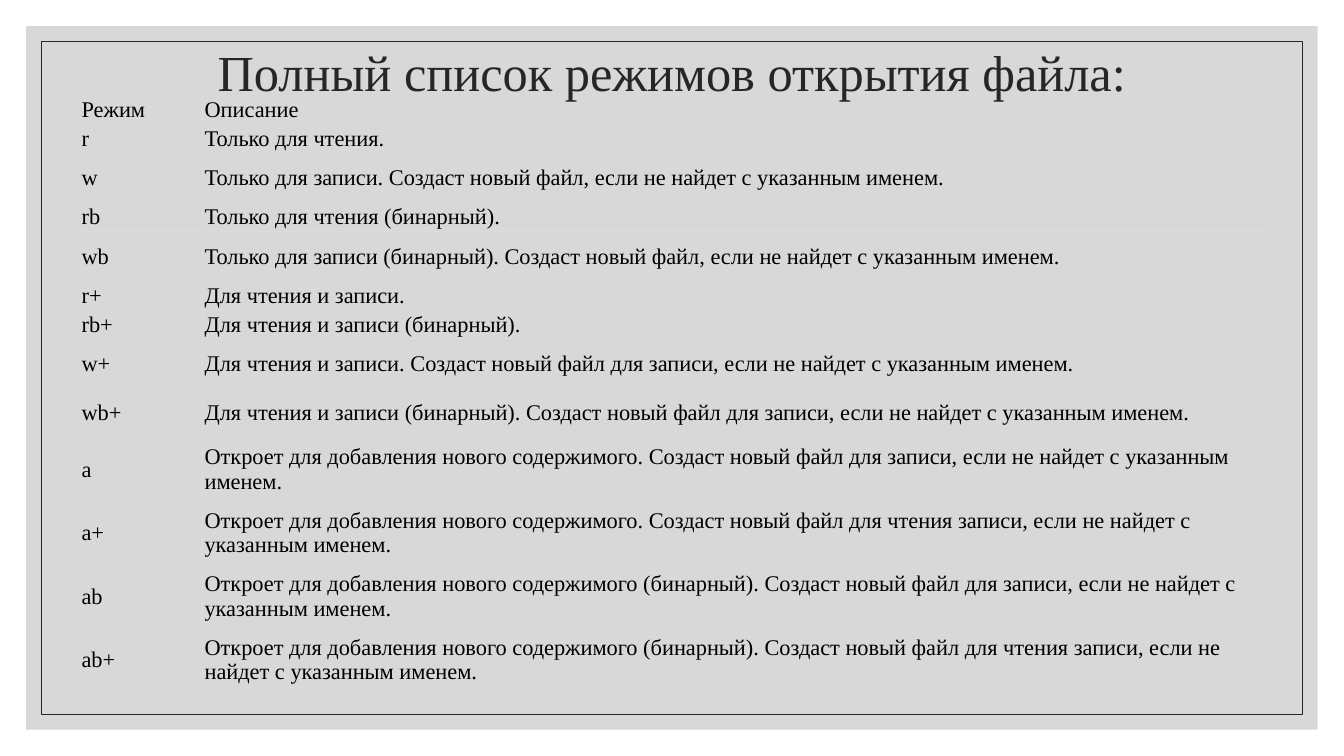
import lxml.etree
import pptx
import pptx.dml.color
import pptx.enum.shapes
import pptx.enum.text
import pptx.oxml
import pptx.oxml.ns
import pptx.util

INK = pptx.dml.color.RGBColor(0x26, 0x26, 0x26)
BLACK = pptx.dml.color.RGBColor(0x00, 0x00, 0x00)
PANEL = pptx.dml.color.RGBColor(0xBF, 0xBF, 0xBF)
RULE = pptx.dml.color.RGBColor(0xDC, 0xDC, 0xDC)

COLUMNS, ROWS = 160, 90
SHORT, MEDIUM, TALL = 2.4, 5.88, 7.56
NO_TABLE_STYLE = "{2D5ABB26-0587-4C30-8999-92F81FD0307C}"

TITLE = "Полный список режимов открытия файла:"
MODES = [
    ("Режим", "Описание", SHORT),
    ("r", "Только для чтения.", SHORT),
    ("w", "Только для записи. Создаст новый файл, если не найдет с указанным именем.", MEDIUM),
    ("rb", "Только для чтения (бинарный).", SHORT),
    ("wb", "Только для записи (бинарный). Создаст новый файл, если не найдет с указанным именем.", MEDIUM),
    ("r+", "Для чтения и записи.", SHORT),
    ("rb+", "Для чтения и записи (бинарный).", SHORT),
    ("w+", "Для чтения и записи. Создаст новый файл для записи, если не найдет с указанным именем.", MEDIUM),
    ("wb+", "Для чтения и записи (бинарный). Создаст новый файл для записи, если не найдет с указанным именем.", MEDIUM),
    ("a", "Откроет для добавления нового содержимого. Создаст новый файл для записи, если не найдет с указанным именем.", TALL),
    ("a+", "Откроет для добавления нового содержимого. Создаст новый файл для чтения записи, если не найдет с указанным именем.", TALL),
    ("ab", "Откроет для добавления нового содержимого (бинарный). Создаст новый файл для записи, если не найдет с указанным именем.", TALL),
    ("ab+", "Откроет для добавления нового содержимого (бинарный). Создаст новый файл для чтения записи, если не найдет с указанным именем.", TALL),
]


def apply_format(target, values):
    for name, value in values.items():
        setattr(target, name, value)


class SlideBuilder:
    font_name = "Times New Roman"
    line_width = pptx.util.Pt(0.75)

    def __init__(self, presentation):
        self.column = presentation.slide_width / COLUMNS
        self.row = presentation.slide_height / ROWS
        self.slide = presentation.slides.add_slide(presentation.slide_layouts[5])

    def across(self, columns):
        return int(columns * self.column)

    def down(self, rows):
        return int(rows * self.row)

    def box(self, left, top, width, height):
        return self.across(left), self.down(top), self.across(width), self.down(height)

    def add_text(self, text_frame, text, size, color, paragraph_format):
        paragraph = text_frame.paragraphs[0]
        apply_format(paragraph, paragraph_format)
        run = paragraph.add_run()
        run.text = text
        apply_format(run.font, {"name": self.font_name, "size": pptx.util.Pt(size)})
        run.font.color.rgb = color

    def frame(self, margin, fill=None, opacity=100, line=None):
        shape = self.slide.shapes.add_shape(
            pptx.enum.shapes.MSO_SHAPE.RECTANGLE,
            *self.box(margin, margin, COLUMNS - 2 * margin, ROWS - 2 * margin))
        shape.shadow.inherit = False
        if fill is None:
            shape.fill.background()
        else:
            shape.fill.solid()
            shape.fill.fore_color.rgb = fill
            color = shape._element.spPr.find(".//" + pptx.oxml.ns.qn("a:srgbClr"))
            lxml.etree.SubElement(color, pptx.oxml.ns.qn("a:alpha"), val=str(opacity * 1000))
        if line is None:
            shape.line.fill.background()
        else:
            shape.line.color.rgb = line
            shape.line.width = self.line_width

    def title(self, text, margin, height):
        title = self.slide.shapes.title
        self.slide.shapes._spTree.append(title._element)
        left, top, width, height = self.box(margin, 0, COLUMNS - 2 * margin, height)
        apply_format(title, {"left": left, "top": top, "width": width, "height": height})
        inset = pptx.util.Inches(0.05)
        apply_format(title.text_frame, {
            "word_wrap": True,
            "auto_size": pptx.enum.text.MSO_AUTO_SIZE.NONE,
            "vertical_anchor": pptx.enum.text.MSO_ANCHOR.MIDDLE,
            "margin_left": inset, "margin_right": inset,
            "margin_top": inset, "margin_bottom": inset})
        self.add_text(title.text_frame, text, 36, INK, {
            "alignment": pptx.enum.text.PP_ALIGN.CENTER, "line_spacing": 0.9})

    def border(self, cell, side):
        cell._tc.get_or_add_tcPr().append(pptx.oxml.parse_xml(
            f'<a:ln{side} {pptx.oxml.ns.nsdecls("a")} w="{self.line_width}">'
            f'<a:solidFill><a:srgbClr val="{RULE}"/></a:solidFill></a:ln{side}>'))

    def table(self, left, top, widths, records):
        height = sum(record[-1] for record in records)
        table = self.slide.shapes.add_table(
            len(records), len(widths), *self.box(left, top, sum(widths), height)).table
        apply_format(table, {"first_row": False, "horz_banding": False})
        table._tbl.tblPr.find(pptx.oxml.ns.qn("a:tableStyleId")).text = NO_TABLE_STYLE
        for column, width in zip(table.columns, widths):
            column.width = self.across(width)
        inset = pptx.util.Inches(0.02)
        last_row, last_column = len(records) - 1, len(widths) - 1
        for row_index, (*texts, row_height) in enumerate(records):
            table.rows[row_index].height = self.down(row_height)
            for column_index, text in enumerate(texts):
                cell = table.cell(row_index, column_index)
                apply_format(cell, {
                    "vertical_anchor": pptx.enum.text.MSO_ANCHOR.MIDDLE,
                    "margin_left": inset, "margin_right": inset,
                    "margin_top": inset, "margin_bottom": inset})
                inner_sides = {"L": column_index > 0, "R": column_index < last_column,
                               "T": row_index > 0, "B": row_index < last_row}
                for side, is_inner in inner_sides.items():
                    if is_inner:
                        self.border(cell, side)
                cell.fill.background()
                self.add_text(cell.text_frame, text, 16, BLACK, {
                    "alignment": pptx.enum.text.PP_ALIGN.LEFT})


def main():
    presentation = pptx.Presentation()
    presentation.slide_width = pptx.util.Inches(13.33)
    presentation.slide_height = pptx.util.Inches(7.5)
    builder = SlideBuilder(presentation)
    builder.frame(3.12, fill=PANEL, opacity=60)
    builder.frame(4.92, line=INK)
    builder.title(TITLE, margin=14, height=18)
    builder.table(9.48, 11.4, (14.64, 126.36), MODES)
    presentation.save("out.pptx")


if __name__ == "__main__":
    main()
